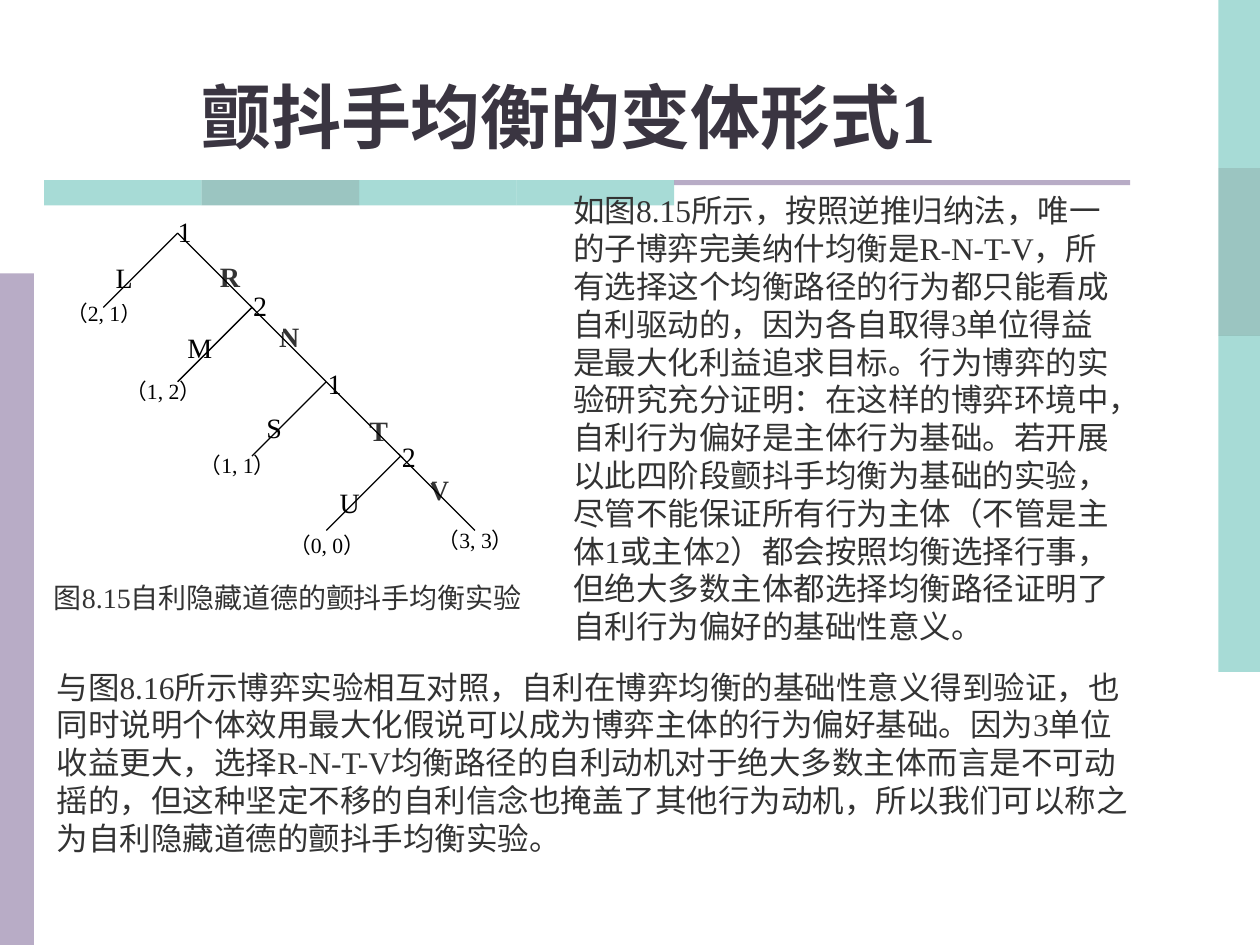
import lxml.etree
import pptx
import pptx.dml.color
import pptx.enum.shapes
import pptx.enum.text
import pptx.oxml.ns
import pptx.util

Inches = pptx.util.Inches
Pt = pptx.util.Pt
qn = pptx.oxml.ns.qn
RECT = pptx.enum.shapes.MSO_SHAPE.RECTANGLE
CENTER = pptx.enum.text.PP_ALIGN.CENTER


def rgb(value):
    return pptx.dml.color.RGBColor.from_string(value)


def write(sp, text, size, color, bold=False, align=None, margins=(0.1, 0.05)):
    """Fill a shape's text frame with one paragraph and return it."""
    tf = sp.text_frame
    tf.word_wrap = True
    tf.vertical_anchor = pptx.enum.text.MSO_ANCHOR.TOP
    tf.margin_left = tf.margin_right = Inches(margins[0])
    tf.margin_top = tf.margin_bottom = Inches(margins[1])
    p = tf.paragraphs[0]
    p.text = text
    p.alignment = align
    p.font.name = "Times New Roman"
    p.font.size = Pt(size)
    p.font.bold = bold
    p.font.color.rgb = rgb(color)
    return p


prs = pptx.Presentation()
prs.slide_width = Inches(10)
prs.slide_height = Inches(7.5)
s = prs.slides.add_slide(prs.slide_layouts[6])

# Decorative bars: left, top, width, height, colour, opacity in percent
bars = [(0, 2.17, 0.27, 5.33, "B8ACC6", 100), (5.35, 1.43, 3.62, 0.04, "B8ACC6", 100)]
for i, color in enumerate(["51B9AF", "398D85", "51B9AF", "51B9AF"]):
    bars.append((9.67, i * 4 / 3, 0.33, 4 / 3, color, 50))
    bars.append((0.35 + 1.25 * i, 1.43, 1.25, 0.2, color, 50))
for left, top, width, height, color, opacity in bars:
    sp = s.shapes.add_shape(RECT, Inches(left), Inches(top), Inches(width), Inches(height))
    sp.shadow.inherit = False
    sp.line.fill.background()
    sp.fill.solid()
    sp.fill.fore_color.rgb = rgb(color)
    if opacity < 100:
        clr = sp.fill._xPr.find(".//" + qn("a:srgbClr"))
        lxml.etree.SubElement(clr, qn("a:alpha"), val=str(opacity * 1000))

title = s.shapes.add_textbox(Inches(0), Inches(0.44), Inches(9.02), Inches(0.86))
write(title, "颤抖手均衡的变体形式1", 40, "3A3541", True, CENTER)
title.text_frame.vertical_anchor = pptx.enum.text.MSO_ANCHOR.BOTTOM

body = s.shapes.add_textbox(Inches(0.35), Inches(5.25), Inches(8.82), Inches(1.6))
write(body, "与图8.16所示博弈实验相互对照，自利在博弈均衡的基础性意义得到验证，也同时说明个体效用最大化假说"
      "可以成为博弈主体的行为偏好基础。因为3单位收益更大，选择R-N-T-V均衡路径的自利动机对于绝大多数主体"
      "而言是不可动摇的，但这种坚定不移的自利信念也掩盖了其他行为动机，所以我们可以称之为自利隐藏道德的"
      "颤抖手均衡实验。", 18, "333333")

# Game tree labels: equilibrium moves are bold, payoffs are smaller and wider
equilibrium = [("V", 3.31, 3.75), ("R", 1.65, 2.06), ("N", 2.12, 2.54), ("T", 2.83, 3.28)]
payoffs = [("（0, 0）", 2.24, 4.26), ("（2, 1）", 0.47, 2.42), ("（1, 1）", 1.53, 3.63),
           ("（1, 2）", 0.94, 3.04), ("（3, 3）", 3.42, 4.22)]
others = [("U", 2.6, 3.85), ("L", 0.81, 2.07), ("S", 2, 3.26), ("1", 1.29, 1.7),
          ("1", 2.48, 2.91), ("2", 1.89, 2.29), ("2", 3.07, 3.49), ("M", 1.41, 2.62)]
for labels, width, size, color, bold, spacing in [
        (equilibrium, 0.35, 16, "333333", True, None),
        (payoffs, 0.71, 12.4, "000000", False, 0.8),
        (others, 0.35, 16, "000000", False, None)]:
    for text, left, top in labels:
        sp = s.shapes.add_shape(RECT, Inches(left), Inches(top), Inches(width), Inches(0.34))
        sp.shadow.inherit = False
        sp.fill.solid()
        sp.fill.fore_color.rgb = rgb("FFFFFF")
        sp.line.color.rgb = rgb("FFFFFF")
        sp.line.width = Pt(0.75)
        p = write(sp, text, size, color, bold, CENTER, (0, 0))
        p.line_spacing = spacing

# Each decision node branches down to the left and right
step = 0.59
for i in range(4):
    x, y = 1.41 + step * i, 1.85 + step * i
    for dx in (-step, step):
        branch = s.shapes.add_connector(pptx.enum.shapes.MSO_CONNECTOR.STRAIGHT,
                                        Inches(x), Inches(y), Inches(x + dx), Inches(y + step))
        branch.line.color.rgb = rgb("000000")
        branch.line.width = Pt(0.75)
        lxml.etree.SubElement(branch._element.spPr, qn("a:effectLst"))

caption = s.shapes.add_textbox(Inches(0.33), Inches(4.56), Inches(4.02), Inches(0.37))
write(caption, "图8.15自利隐藏道德的颤抖手均衡实验", 16, "333333")
caption.text_frame.word_wrap = False

side = s.shapes.add_textbox(Inches(4.45), Inches(1.47), Inches(4.57), Inches(3.7))
write(side, "如图8.15所示，按照逆推归纳法，唯一的子博弈完美纳什均衡是R-N-T-V，所有选择这个均衡路径的行为都"
      "只能看成自利驱动的，因为各自取得3单位得益是最大化利益追求目标。行为博弈的实验研究充分证明：在这样的"
      "博弈环境中，自利行为偏好是主体行为基础。若开展以此四阶段颤抖手均衡为基础的实验，尽管不能保证所有行为"
      "主体（不管是主体1或主体2）都会按照均衡选择行事，但绝大多数主体都选择均衡路径证明了自利行为偏好的"
      "基础性意义。", 18, "333333")

prs.save("out.pptx")
